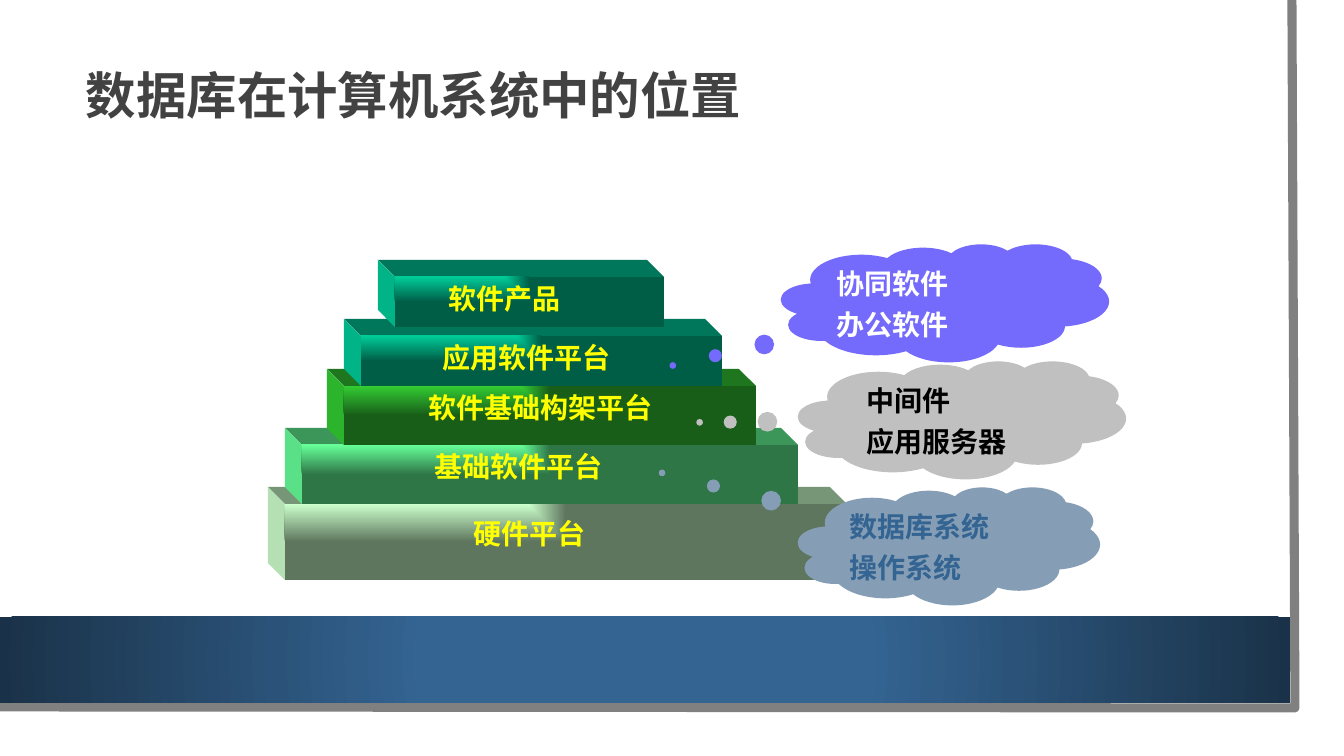
from dataclasses import dataclass

from lxml import etree
from pptx import Presentation
from pptx.dml.color import RGBColor
from pptx.enum.shapes import MSO_SHAPE
from pptx.enum.text import MSO_ANCHOR, PP_ALIGN
from pptx.oxml.ns import qn
from pptx.util import Pt

EMU_PER_PX = 914400 / 100.8
RECTANGLE, CLOUD = MSO_SHAPE.RECTANGLE, MSO_SHAPE.CLOUD_CALLOUT
TOP, MIDDLE = MSO_ANCHOR.TOP, MSO_ANCHOR.MIDDLE
LEFT, RIGHT = PP_ALIGN.LEFT, PP_ALIGN.RIGHT


@dataclass(frozen=True)
class Theme:
    title: str = "424242"
    label: str = "FFFF00"
    frame: str = "808080"
    band: str = "346492"
    band_edge: str = "1A3249"
    latin: str = "Arial Narrow"
    asian: str = "Noto Sans CJK SC"
    title_size: int = 36
    body_size: int = 20
    frame_width: float = 6.5
    line_gap: int = 5


def px(length):
    return round(length * EMU_PER_PX)


def shade(colour, factor):
    """Scale the brightness of an RRGGBB colour."""
    return "".join(f"{min(255, round(part * factor)):02X}" for part in bytes.fromhex(colour))


class Page:
    def __init__(self, deck, theme):
        self.theme = theme
        self.shapes = deck.slides.add_slide(deck.slide_layouts[6]).shapes

    def set_text(self, shape, lines, colour, size, latin, align=LEFT, anchor=TOP):
        frame = shape.text_frame
        frame.word_wrap = True
        frame.vertical_anchor = anchor
        frame.text = "\n".join(lines)
        for index, para in enumerate(frame.paragraphs):
            para.alignment = align
            if index:
                para.space_before = Pt(self.theme.line_gap)
            for span in para.runs:
                span.font.size = Pt(size)
                span.font.bold = True
                span.font.name = latin
                span.font.color.rgb = RGBColor.from_string(colour)
                asian = etree.SubElement(span.font._element, qn("a:ea"))
                asian.set("typeface", self.theme.asian)
        return frame

    def title(self, text, x, y, width, height):
        box = self.shapes.add_textbox(px(x), px(y), px(width), px(height))
        frame = self.set_text(box, [text], self.theme.title, self.theme.title_size,
                              self.theme.latin, anchor=MIDDLE)
        frame.paragraphs[0].line_spacing = 0.9

    def label(self, text, x, y, width):
        box = self.shapes.add_textbox(px(x), px(y), px(width), px(43))
        self.set_text(box, [text], self.theme.label, self.theme.body_size,
                      self.theme.asian, align=RIGHT)

    def gradient_box(self, x, y, width, height, inner, outer, spread_kind, focus, start=0):
        """Rectangle whose gradient spreads from focus, given as four edge percentages."""
        box = self.shapes.add_shape(RECTANGLE, px(x), px(y), px(width), px(height))
        box.shadow.inherit = False
        box.line.fill.background()
        box.fill.gradient()
        stops = box.fill.gradient_stops
        for stop, colour, position in zip(stops, (inner, outer), (start, 1)):
            stop.color.rgb = RGBColor.from_string(colour)
            stop.position = position
        gradient = box._element.spPr.find(qn("a:gradFill"))
        linear = gradient.find(qn("a:lin"))
        spread = etree.Element(qn("a:path"))
        spread.set("path", spread_kind)
        target = etree.SubElement(spread, qn("a:fillToRect"))
        for edge, percent in zip("ltrb", focus):
            target.set(edge, str(percent * 1000))
        gradient.replace(linear, spread)

    def outline(self, points, close=True):
        builder = self.shapes.build_freeform(*points[0], scale=EMU_PER_PX)
        builder.add_line_segments(points[1:], close=close)
        shape = builder.convert_to_shape()
        shape.shadow.inherit = False
        return shape

    def face(self, points, colour):
        shape = self.outline(points)
        shape.fill.solid()
        shape.fill.fore_color.rgb = RGBColor.from_string(colour)
        shape.line.fill.background()

    def border(self, points):
        shape = self.outline(points, close=False)
        shape.fill.background()
        shape.line.color.rgb = RGBColor.from_string(self.theme.frame)
        shape.line.width = Pt(self.theme.frame_width)

    def block(self, x, y, width, height, light, dark, depth=17):
        """Solid step with its depth drawn towards the upper left."""
        back_x, back_y = x - depth, y - depth
        right, bottom = x + width, y + height
        self.face([(back_x, back_y), (right - depth, back_y), (right, y), (x, y)],
                  shade(dark, 1.27))
        self.face([(back_x, back_y), (x, y), (x, bottom), (back_x, bottom - depth)],
                  shade(light, 0.88))
        self.gradient_box(x, y, width, height, light, dark, "rect", (0, 0, 100, 100))

    def cloud(self, lines, x, y, width, tail, fill, colour, indent):
        shape = self.shapes.add_shape(CLOUD, px(x), px(y), px(width), px(118))
        shape.shadow.inherit = False
        shape.adjustments[0], shape.adjustments[1] = tail
        shape.fill.solid()
        shape.fill.fore_color.rgb = RGBColor.from_string(fill)
        shape.line.fill.background()
        frame = self.set_text(shape, lines, colour, self.theme.body_size, self.theme.asian)
        frame.margin_left = px(indent)


# text, label (x, y, width), front (x, y, width, height), light, dark
STEPS = [
    ("硬件平台", (428, 512, 168), (285, 504, 562, 76), "CCFFCC", "5E765E"),
    ("基础软件平台", (353, 445, 260), (302, 445, 496, 59), "66FF99", "2F7647"),
    ("软件基础构架平台", (344, 386, 319), (344, 386, 412, 59), "33CC33", "185E18"),
    ("应用软件平台", (344, 336, 277), (361, 336, 361, 50), "00CC99", "005E47"),
    ("软件产品", (411, 277, 160), (395, 277, 269, 50), "00CC99", "005E47"),
]
# lines, x, y, width, tail, fill, text colour, indent
CLOUDS = [
    (["协同软件", "办公软件"], 781, 244, 328, (-0.83, 0.53), "746AFC", "FFFFFF", 10),
    (["数据库系统", "操作系统"], 798, 487, 302, (-0.95, -0.62), "859EB6", "346492", 10),
    (["中间件", "应用服务器"], 798, 361, 328, (-0.8, 0.02), "C0C0C0", "000000", 23),
]


def main():
    deck = Presentation()
    deck.slide_width, deck.slide_height = px(1344), px(756)
    theme = Theme()
    page = Page(deck, theme)
    page.border([(1292, 0), (1295, 708), (0, 707)])
    page.gradient_box(0, 617, 1290, 86, theme.band, theme.band_edge,
                      "circle", (50, 50, 50, 50), start=0.34)
    for text, place, front, light, dark in STEPS:
        page.block(*front, light, dark)
        page.label(text, *place)
    for cloud in CLOUDS:
        page.cloud(*cloud)
    page.title("数据库在计算机系统中的位置", 76, 43, 1146, 110)
    deck.save("out.pptx")


if __name__ == "__main__":
    main()
